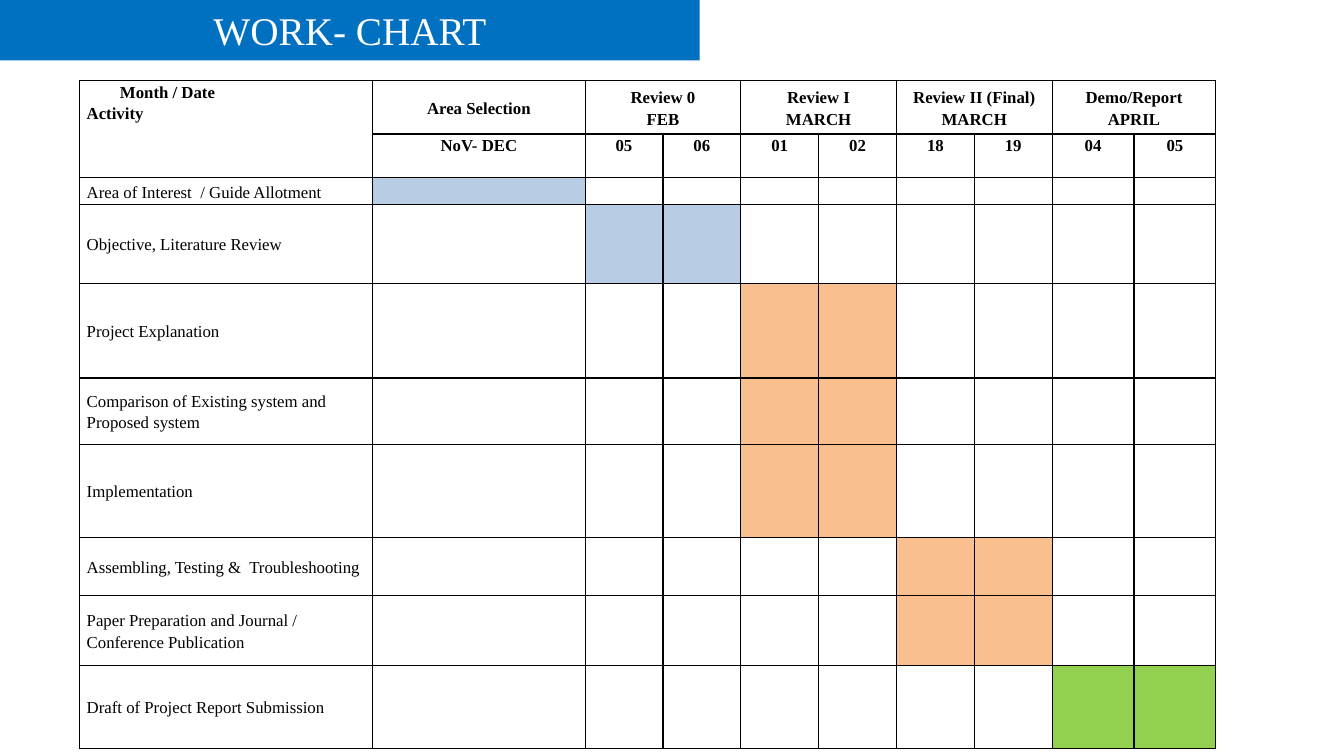
from lxml.etree import SubElement as Sub, Element
from pptx import Presentation
from pptx.dml.color import RGBColor
from pptx.enum.text import MSO_ANCHOR as Anchor, MSO_AUTO_SIZE as Auto, PP_ALIGN as Align
from pptx.oxml.ns import qn
from pptx.util import Inches, Pt

BLACK = RGBColor(0x00, 0x00, 0x00)
WHITE = RGBColor(0xFF, 0xFF, 0xFF)
BLUE = RGBColor(0x00, 0x70, 0xC0)
PALE = RGBColor(0xB8, 0xCC, 0xE4)
PEACH = RGBColor(0xFA, 0xBF, 0x8F)
GREEN = RGBColor(0x92, 0xD0, 0x50)

FACE = "Times New Roman"
HEAD = dict(name=FACE, size=Pt(28), bold=False)
BOLD = dict(name=FACE, size=Pt(12), bold=True)
BODY = dict(BOLD, bold=False)
INSET = dict(margin_left=Inches(0.07), margin_right=Inches(0.07),
             margin_top=0, margin_bottom=0)

WIDE, HIGH = Inches(13.33), Inches(7.5)
COLS = [2.9, 2.1] + [0.77] * 6 + [0.81] * 2
ROWS = [0.53, 0.43, 0.27, 0.78, 0.94, 0.66, 0.92, 0.58, 0.69, 0.83]
STAGES = ["Review 0\nFEB", "Review I\nMARCH", "Review II (Final)\nMARCH",
          "Demo/Report\nAPRIL"]
DATES = ["NoV- DEC", "05", "06", "01", "02", "18", "19", "04", "05"]
TASKS = [
    ("Area of Interest  / Guide Allotment", [1], PALE),
    ("Objective, Literature Review", [2, 3], PALE),
    ("Project Explanation", [4, 5], PEACH),
    ("Comparison of Existing system and Proposed system", [4, 5], PEACH),
    ("Implementation", [4, 5], PEACH),
    ("Assembling, Testing &  Troubleshooting", [6, 7], PEACH),
    ("Paper Preparation and Journal / Conference Publication", [6, 7], PEACH),
    ("Draft of Project Report Submission", [8, 9], GREEN),
]


def assign(item, form):
    """Set every attribute in a dict of format values."""
    for key, value in form.items():
        setattr(item, key, value)


def banner(slide, box, text):
    """Place the title as a filled bar in the box."""
    title = slide.shapes.title
    assign(title, dict(zip(("left", "top", "width", "height"), box)))
    title.fill.solid()
    title.fill.fore_color.rgb = BLUE
    frame = title.text_frame
    frame.text = text
    assign(frame, dict(auto_size=Auto.NONE, word_wrap=True,
                       vertical_anchor=Anchor.MIDDLE))
    line = frame.paragraphs[0]
    line.alignment = Align.CENTER
    assign(line.runs[0].font, HEAD)
    line.runs[0].font.color.rgb = WHITE


def frame_cell(cell):
    """Clear a cell, outline it in black and keep its blank line small."""
    assign(cell, INSET)
    cell.fill.background()
    props = cell._tc.get_or_add_tcPr()
    for spot, side in enumerate(("lnL", "lnR", "lnT", "lnB")):
        edge = Element(qn("a:" + side), w=str(Pt(1)))
        paint = Sub(edge, qn("a:solidFill"))
        Sub(paint, qn("a:srgbClr"), val=str(BLACK))
        props.insert(spot, edge)
    Sub(cell.text_frame.paragraphs[0]._p, qn("a:endParaRPr"), sz="1200")


def write(cell, text, form, align=Align.LEFT, anchor=Anchor.MIDDLE):
    """Fill a cell with one paragraph per line of text."""
    cell.text_frame.text = text
    cell.vertical_anchor = anchor
    for line in cell.text_frame.paragraphs:
        assign(line, dict(alignment=align, line_spacing=1.15))
        for run in line.runs:
            assign(run.font, form)
            run.font.color.rgb = BLACK


def heading(table):
    """Write the two heading rows and merge their cells."""
    corner = table.cell(0, 0)
    corner.merge(table.cell(1, 0))
    write(corner, "Month / Date\nActivity", BOLD, anchor=Anchor.TOP)
    first = corner.text_frame.paragraphs[0]._p.get_or_add_pPr()
    first.set("marL", str(Inches(0.33)))
    write(table.cell(0, 1), "Area Selection", BOLD, Align.CENTER)
    for i, stage in enumerate(STAGES):
        col = 2 + 2 * i
        table.cell(0, col).merge(table.cell(0, col + 1))
        write(table.cell(0, col), stage, BOLD, Align.CENTER)
    for col, date in enumerate(DATES, 1):
        write(table.cell(1, col), date, BOLD, Align.CENTER, Anchor.TOP)


def schedule(slide, box):
    """Draw the work plan table in the box."""
    table = slide.shapes.add_table(len(ROWS), len(COLS), *box).table
    assign(table, dict(first_row=False, horz_banding=False))
    for col, share in zip(table.columns, COLS):
        col.width = int(box[2] * share / sum(COLS))
    for row, share in zip(table.rows, ROWS):
        row.height = int(box[3] * share / sum(ROWS))
    for cell in table.iter_cells():
        frame_cell(cell)
    heading(table)
    for row, (task, spans, tint) in enumerate(TASKS, 2):
        write(table.cell(row, 0), task, BODY)
        for col in spans:
            fill = table.cell(row, col).fill
            fill.solid()
            fill.fore_color.rgb = tint


def main():
    """Build and save the slide."""
    deck = Presentation()
    assign(deck, dict(slide_width=WIDE, slide_height=HIGH))
    slide = deck.slides.add_slide(deck.slide_layouts[5])
    banner(slide, (0, 0, Inches(6.94), Inches(0.6)), "WORK- CHART")
    schedule(slide, (Inches(0.79), Inches(0.8), Inches(11.27), Inches(6.63)))
    deck.save("out.pptx")


if __name__ == "__main__":
    main()
